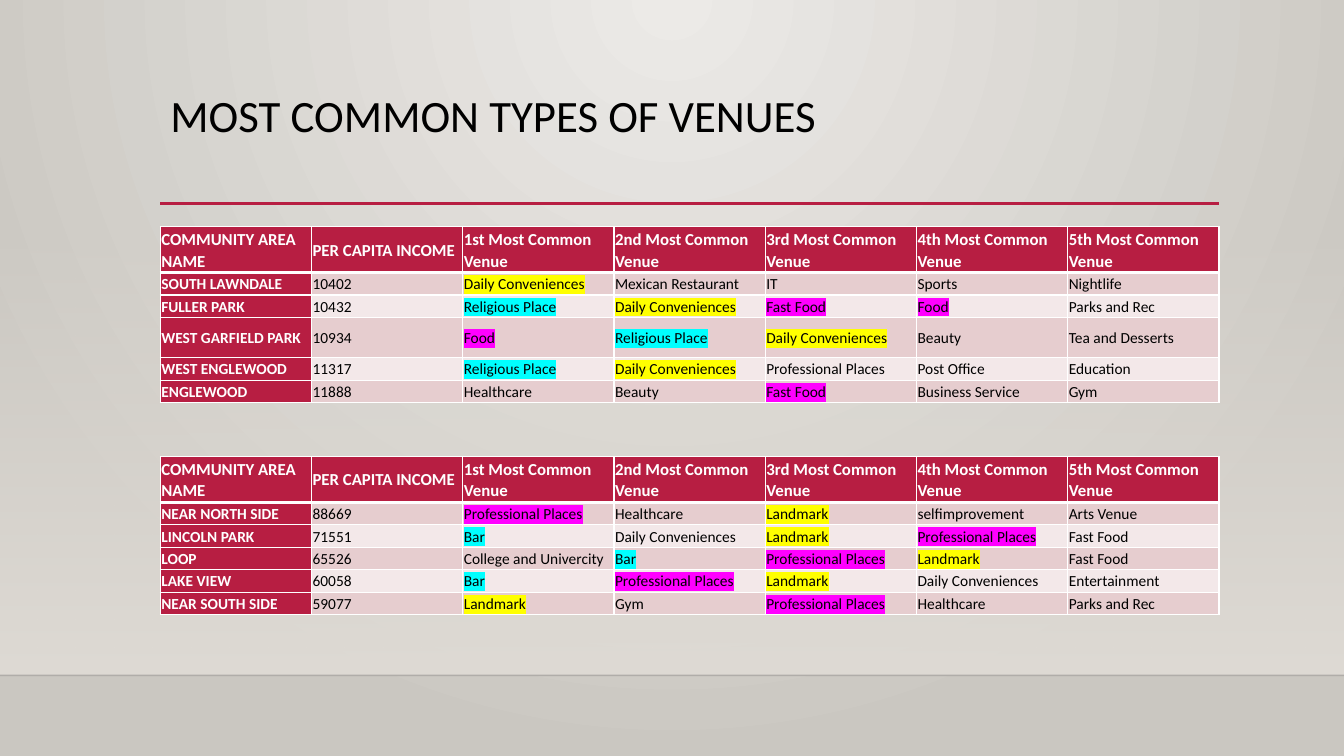
from lxml import etree
from pptx import Presentation
from pptx.dml.color import RGBColor
from pptx.enum.shapes import MSO_CONNECTOR, MSO_SHAPE
from pptx.enum.text import MSO_ANCHOR, PP_ALIGN
from pptx.oxml.ns import qn
from pptx.util import Inches, Pt

LINE, RECT = MSO_CONNECTOR.STRAIGHT, MSO_SHAPE.RECTANGLE
TOP, MID, LEFT = MSO_ANCHOR.TOP, MSO_ANCHOR.MIDDLE, PP_ALIGN.LEFT
FONT = "Calibri"
HEX = {
    "glow": "ECEAE7", "wall": "CAC7C1", "mist": "DFDBD5", "edge": "000001",
    "red": "B71E42", "dark": "E6CDCF", "pale": "F3E8E9",
    "ink": "000000", "white": "FFFFFF",
    "yellow": "FFFF00", "cyan": "00FFFF", "pink": "FF00FF",
}
RANKS = ["1st", "2nd", "3rd", "4th", "5th"]
HEAD = ["COMMUNITY AREA NAME", "PER CAPITA INCOME"]
HEAD += [f"{rank} Most Common Venue" for rank in RANKS]

# Areas by income, and the venue types marked in each table
POOR = [
    ["SOUTH LAWNDALE", "10402", "Daily Conveniences", "Mexican Restaurant",
     "IT", "Sports", "Nightlife"],
    ["FULLER PARK", "10432", "Religious Place", "Daily Conveniences",
     "Fast Food", "Food", "Parks and Rec"],
    ["WEST GARFIELD PARK", "10934", "Food", "Religious Place",
     "Daily Conveniences", "Beauty", "Tea and Desserts"],
    ["WEST ENGLEWOOD", "11317", "Religious Place", "Daily Conveniences",
     "Professional Places", "Post Office", "Education"],
    ["ENGLEWOOD", "11888", "Healthcare", "Beauty", "Fast Food",
     "Business Service", "Gym"],
]
RICH = [
    ["NEAR NORTH SIDE", "88669", "Professional Places", "Healthcare",
     "Landmark", "selfimprovement", "Arts Venue"],
    ["LINCOLN PARK", "71551", "Bar", "Daily Conveniences", "Landmark",
     "Professional Places", "Fast Food"],
    ["LOOP", "65526", "College and Univercity", "Bar",
     "Professional Places", "Landmark", "Fast Food"],
    ["LAKE VIEW", "60058", "Bar", "Professional Places", "Landmark",
     "Daily Conveniences", "Entertainment"],
    ["NEAR SOUTH SIDE", "59077", "Landmark", "Gym", "Professional Places",
     "Healthcare", "Parks and Rec"],
]
POOR_MARKS = {"Daily Conveniences": "yellow", "Religious Place": "cyan",
              "Fast Food": "pink", "Food": "pink"}
RICH_MARKS = {"Landmark": "yellow", "Bar": "cyan",
              "Professional Places": "pink"}

deck = Presentation()
deck.slide_width, deck.slide_height = Inches(13.33), Inches(7.5)


# The slide is a grid of 100 columns by 100 rows
def col(n):
    return round(deck.slide_width * n / 100)


def row(n):
    return round(deck.slide_height * n / 100)


def place(box):
    x, y, wide, high = box
    return col(x), row(y), col(wide), row(high)


def rgb(name):
    return RGBColor.from_string(HEX[name])


def node(parent, tag, **attrs):
    return etree.SubElement(parent, qn(tag), attrs)


def blend(fill, start, end):
    fill.gradient()
    for stop, name, pos in zip(fill.gradient_stops, (start, end), (0, 1)):
        stop.color.rgb, stop.position = rgb(name), pos


def rule(slide, x, y, wide, name, size):
    line = slide.shapes.add_connector(LINE, col(x), row(y),
                                      col(x + wide), row(y))
    line.line.color.rgb, line.line.width = rgb(name), Pt(size)
    node(line.element.spPr, "a:effectLst")
    return line


def style(part, size, name, bold=False):
    part.alignment = LEFT
    for run in part.runs:
        font = run.font
        font.name, font.size, font.bold = FONT, Pt(size), bold
        font.color.rgb = rgb(name)


def backdrop(slide, box):
    x, y, wide, high = box
    # Round glow from the top centre
    blend(slide.background.fill, "glow", "wall")
    lin = next(slide.element.iter(qn("a:lin")))
    grad = lin.getparent()
    grad.remove(lin)
    glow = node(grad, "a:path", path="circle")
    node(glow, "a:fillToRect", l="43000", t="0", r="43000", b="100000")
    # Haze that thickens downwards, and the floor edge below it
    haze = slide.shapes.add_shape(RECT, *place(box))
    haze.shadow.inherit = False
    haze.line.fill.background()
    blend(haze.fill, "mist", "mist")
    haze.fill.gradient_angle = 270
    node(next(haze.element.iter(qn("a:srgbClr"))), "a:alpha", val="0")
    edge = rule(slide, x, y + high, wide, "edge", 1)
    node(next(edge.element.iter(qn("a:srgbClr"))), "a:alpha", val="20000")


def heading(slide, box, text):
    x, y, wide, high = box
    title = slide.shapes.title
    title.left, title.top, title.width, title.height = place(box)
    frame = title.text_frame
    frame.text, frame.word_wrap = text, True
    frame.vertical_anchor = TOP
    part = frame.paragraphs[0]
    part.line_spacing = 0.9
    style(part, 32, "ink")
    rule(slide, x, y + high, wide, "red", 2.5)


def border(cell, sides):
    for side, size in sides.items():
        line = node(cell._tc.get_or_add_tcPr(), f"a:ln{side}",
                    w=str(Pt(size)))
        node(node(line, "a:solidFill"), "a:srgbClr", val=HEX["white"])


def fill_cell(cell, text, r, c, mark):
    border(cell, {"L": 1, "R": 1, "T": 3 if r == 1 else 1,
                  "B": 3 if r == 0 else 1})
    bold = r == 0 or c == 0
    cell.fill.solid()
    cell.fill.fore_color.rgb = rgb(
        "red" if bold else "dark" if r % 2 else "pale")
    cell.margin_left = cell.margin_right = Inches(0.01)
    cell.margin_top = cell.margin_bottom = Inches(0.01)
    cell.vertical_anchor = MID
    cell.text_frame.text = text
    part = cell.text_frame.paragraphs[0]
    part.line_spacing = 1.07
    style(part, 11 if r else 12, "white" if bold else "ink", bold)
    if mark:
        light = etree.Element(qn("a:highlight"))
        node(light, "a:srgbClr", val=HEX[mark])
        next(part._p.iter(qn("a:latin"))).addprevious(light)


def venues(slide, box, areas, marks, highs):
    data = [HEAD] + areas
    grid = slide.shapes.add_table(len(data), len(HEAD), *place(box)).table
    grid.first_row = grid.horz_banding = False
    for column in grid.columns:
        column.width = col(box[2] / len(HEAD))
    for r, (line, high) in enumerate(zip(data, highs)):
        grid.rows[r].height = row(high)
        for c, text in enumerate(line):
            fill_cell(grid.cell(r, c), text, r, c, marks.get(text))


slide = deck.slides.add_slide(deck.slide_layouts[5])
X, WIDE = 11.93, 78.78
TALL, SLIM, LOOSE = 5.9, 2.97, 5.33
backdrop(slide, (0, 29.47, 100, 59.87))
heading(slide, (X, 11.73, WIDE, 15.2), "MOST COMMON TYPES OF VENUES")
venues(slide, (X, 30, WIDE, 23.11), POOR, POOR_MARKS,
       [TALL, SLIM, SLIM, LOOSE, SLIM, SLIM])
venues(slide, (X, 60.4, WIDE, 20.75), RICH, RICH_MARKS, [TALL] + [SLIM] * 5)
deck.save("out.pptx")
